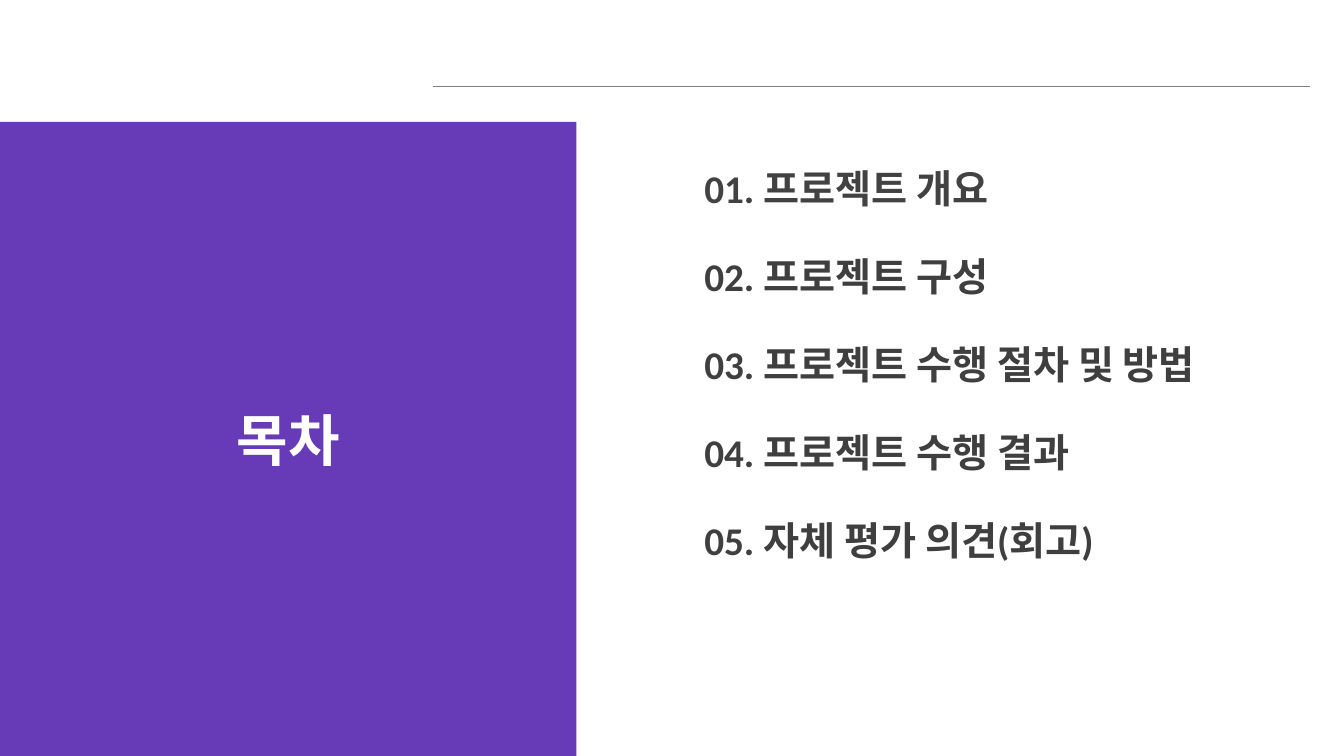
from dataclasses import dataclass

from lxml import etree
from pptx import Presentation
from pptx import util as u
from pptx.dml.color import RGBColor
from pptx.enum import shapes, text
from pptx.oxml.ns import qn


@dataclass(frozen=True)
class Theme:
    panel: str = "673AB7"
    rule: str = "7F7F7F"
    title: str = "FFFFFF"
    first_entry: str = "424242"
    entry: str = "3F3F3F"
    title_font: str = "Arial"
    entry_font: str = "Calibri"
    title_size: int = 40
    entry_size: int = 28
    rule_width: int = 1


ENTRIES = [
    "01. 프로젝트 개요",
    "02. 프로젝트 구성",
    "03. 프로젝트 수행 절차 및 방법",
    "04. 프로젝트 수행 결과",
    "05. 자체 평가 의견(회고)",
]
ENTRY_TOP, ENTRY_PITCH = 4.14, 2.22


def write(tf, content, *, font, size, color, bold=True,
          align=text.PP_ALIGN.LEFT, anchor=text.MSO_ANCHOR.TOP, pad_y=0.0):
    tf.word_wrap = True
    tf.vertical_anchor = anchor
    tf.margin_left = tf.margin_right = u.Cm(0.25)
    tf.margin_top = tf.margin_bottom = u.Cm(pad_y)
    p = tf.paragraphs[0]
    p.alignment = align
    r = p.add_run()
    r.text = content
    r.font.name = font
    r.font.size = u.Pt(size)
    r.font.bold = bold
    r.font.color.rgb = RGBColor.from_string(color)


class Deck:
    """Holds the theme and the slide being drawn; lengths are in centimetres."""

    def __init__(self, prs, theme):
        self.theme = theme
        self.s = prs.slides.add_slide(prs.slide_layouts[6])

    def label(self, content, x, y, w, h, **fmt):
        sp = self.s.shapes.add_textbox(*map(u.Cm, (x, y, w, h)))
        write(sp.text_frame, content, **fmt)

    def panel(self, content, x, y, w, h, fill, **fmt):
        sp = self.s.shapes.add_shape(shapes.MSO_SHAPE.RECTANGLE,
                                     *map(u.Cm, (x, y, w, h)))
        sp.shadow.inherit = False
        sp.fill.solid()
        sp.fill.fore_color.rgb = RGBColor.from_string(fill)
        sp.line.fill.background()
        write(sp.text_frame, content, **fmt)

    def rule(self, x1, x2, y):
        ln = self.s.shapes.add_connector(shapes.MSO_CONNECTOR.STRAIGHT,
                                         *map(u.Cm, (x1, y, x2, y)))
        ln.line.color.rgb = RGBColor.from_string(self.theme.rule)
        ln.line.width = u.Pt(self.theme.rule_width)
        etree.SubElement(ln._element.spPr, qn("a:effectLst"))


def main():
    prs = Presentation()
    prs.slide_width, prs.slide_height = u.Cm(33.87), u.Cm(19.05)
    theme = Theme()
    deck = Deck(prs, theme)

    for i, entry in enumerate(ENTRIES):
        deck.label(entry, 17.5, ENTRY_TOP + i * ENTRY_PITCH, 14.7, 1.19,
                   font=theme.entry_font, size=theme.entry_size,
                   color=theme.entry if i else theme.first_entry)

    deck.panel("목차", 0, 3.07, 14.53, 15.98, theme.panel,
               font=theme.title_font, size=theme.title_size, color=theme.title,
               align=text.PP_ALIGN.CENTER, anchor=text.MSO_ANCHOR.MIDDLE,
               pad_y=0.13)
    deck.rule(10.92, 33.02, 2.18)
    prs.save("out.pptx")


if __name__ == "__main__":
    main()
